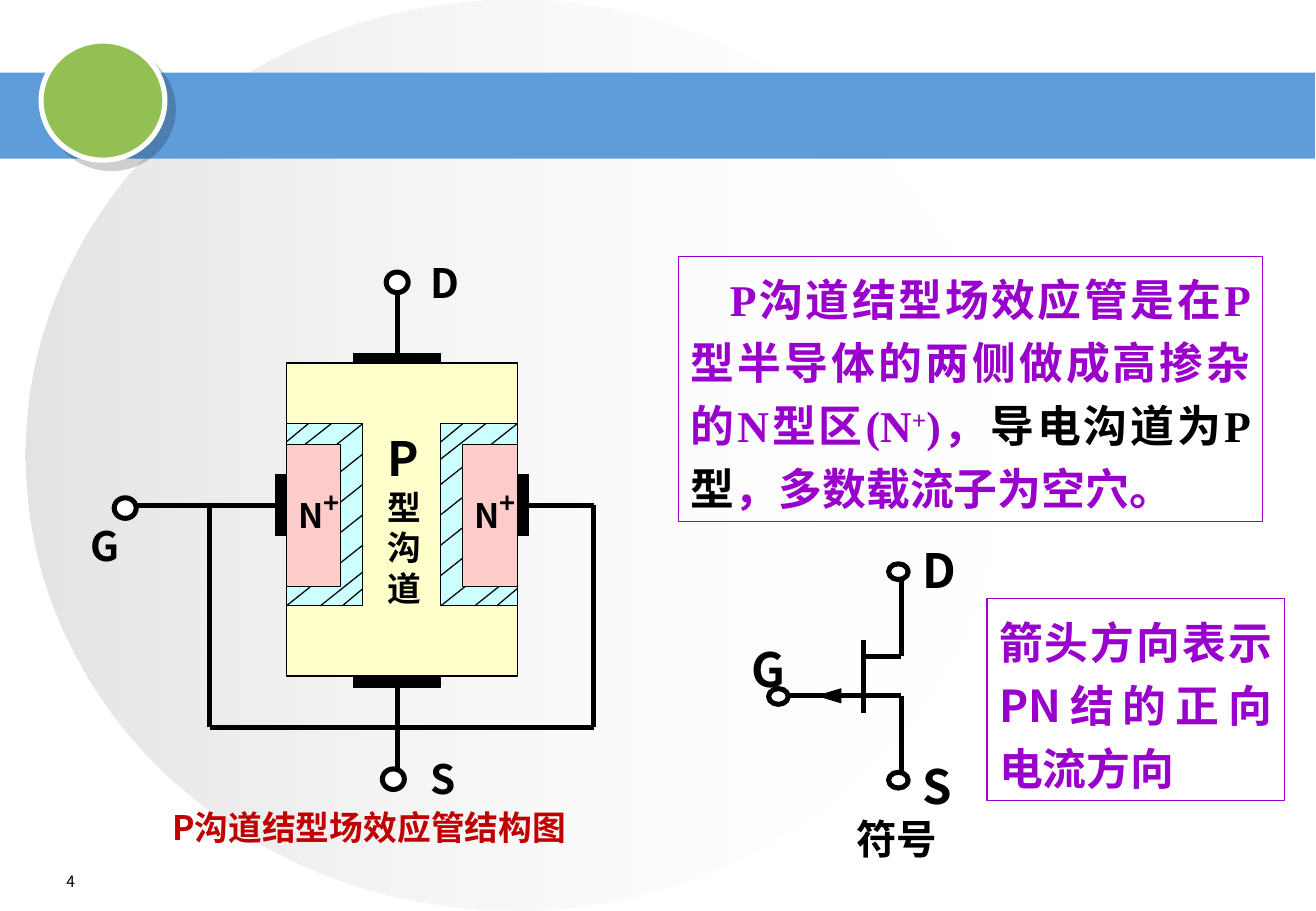
from lxml.etree import SubElement
from pptx import Presentation
from pptx.dml.color import RGBColor
from pptx.enum.shapes import MSO_CONNECTOR, MSO_SHAPE
from pptx.enum.text import MSO_ANCHOR, MSO_AUTO_SIZE, PP_ALIGN
from pptx.oxml.ns import qn
from pptx.util import Cm, Pt

BLACK = RGBColor(0x00, 0x00, 0x00)
WHITE = RGBColor(0xFF, 0xFF, 0xFF)
GREY = RGBColor(0xC0, 0xC0, 0xC0)
BLUE = RGBColor(0x5E, 0x9C, 0xDA)
GREEN = RGBColor(0x93, 0xC0, 0x52)
PURPLE = RGBColor(0x99, 0x00, 0xCC)
RED = RGBColor(0xC0, 0x00, 0x00)
CREAM = RGBColor(0xFF, 0xFF, 0xCC)
CYAN = RGBColor(0xCC, 0xFF, 0xFF)
PINK = RGBColor(0xFF, 0xCC, 0xCC)

SANS = "Noto Sans CJK SC"
SERIF = "Times New Roman"
THIN, THICK = 0.75, 3


def add_box(shapes, kind, box, fill=None, line=BLACK, width=THIN):
    sp = shapes.add_shape(kind, *map(Cm, box))
    sp.shadow.inherit = False
    if fill is not None:
        sp.fill.solid()
        sp.fill.fore_color.rgb = fill
    if line is None:
        sp.line.fill.background()
    else:
        sp.line.color.rgb = line
        sp.line.width = Pt(width)
    return sp


def add_line(shapes, x1, y1, x2, y2, width=THICK):
    cx = shapes.add_connector(MSO_CONNECTOR.STRAIGHT, *map(Cm, (x1, y1, x2, y2)))
    cx.line.color.rgb = BLACK
    cx.line.width = Pt(width)
    SubElement(cx._element.spPr, qn("a:effectLst"))
    return cx


def add_terminal(shapes, *box):
    add_box(shapes, MSO_SHAPE.OVAL, box, WHITE, BLACK, THICK)


def add_text(shapes, box, runs, border=None, **para):
    """Each run is (text, size, colour) with an optional dict of extras."""
    sp = shapes.add_textbox(*map(Cm, box))
    if border is not None:
        sp.line.color.rgb = border
        sp.line.width = Pt(THIN)
    tf = sp.text_frame
    frame = dict(word_wrap=True, vertical_anchor=MSO_ANCHOR.TOP,
                 auto_size=MSO_AUTO_SIZE.SHAPE_TO_FIT_TEXT)
    for key, value in frame.items():
        setattr(tf, key, value)
    p = tf.paragraphs[0]
    for key, value in para.items():
        setattr(p, key, value)
    for text, size, colour, *extra in runs:
        r = p.add_run()
        r.text = text
        fmt = dict(size=Pt(size), bold=True, name=SANS)
        fmt.update(*extra)
        raised = fmt.pop("raised", False)
        for key, value in fmt.items():
            setattr(r.font, key, value)
        r.font.color.rgb = colour
        rPr = r._r.get_or_add_rPr()
        SubElement(rPr, qn("a:ea"), typeface=SANS)
        if raised:
            rPr.set("baseline", "30000")
    return p


def add_background(shapes):
    # Fading disc
    disc = add_box(shapes, MSO_SHAPE.OVAL, (0.53, 0, 20.47, 19.05), line=None)
    disc.fill.gradient()
    disc.fill.gradient_angle = 0
    for stop, colour in zip(disc.fill.gradient_stops, (GREY, WHITE)):
        stop.color.rgb = colour
    for clr, alpha in zip(disc._element.spPr.iter(qn("a:srgbClr")), ("44000", "0")):
        SubElement(clr, qn("a:alpha"), val=alpha)

    # Title band and green dot with its shadow
    add_box(shapes, MSO_SHAPE.RECTANGLE, (0, 1.52, 27.51, 1.8), BLUE, None)
    dot = add_box(shapes, MSO_SHAPE.OVAL, (0.86, 0.86, 2.59, 2.49), GREEN, WHITE, THICK)
    effects = dot._element.spPr.find(qn("a:effectLst"))
    shadow = SubElement(effects, qn("a:outerShdw"), dist=str(Pt(7.1)),
                        dir="2700000", algn="ctr", rotWithShape="0")
    clr = SubElement(shadow, qn("a:srgbClr"), val=str(BLACK))
    SubElement(clr, qn("a:alpha"), val="19000")


def add_junction(shapes, x, y):
    """Hatched depletion layer with its top left corner at x, y."""
    w, h = 1.6, 3.81
    add_box(shapes, MSO_SHAPE.RECTANGLE, (x, y, w, h), CYAN)
    step = h / 6
    hatch = [(w, i * step, 0, (i + 2) * step) for i in range(5)]
    hatch += [(w, 3.1, 0.71, h), (w, 3.45, 1.17, h),
              (0.94, 0, 0, 0.74), (0.46, 0, 0, 0.38)]
    for x1, y1, x2, y2 in hatch:
        add_line(shapes, x + x1, y + y1, x + x2, y + y2, THIN)


def add_structure(shapes):
    left, right, wire_y, bottom_y = 4.39, 12.42, 10.57, 15.21
    # Leads behind the body
    add_line(shapes, 8.31, 6.12, 8.31, 16.08)
    add_line(shapes, 2.79, wire_y, right, wire_y)

    # Body, electrodes, junctions and N regions
    rect = MSO_SHAPE.RECTANGLE
    add_box(shapes, rect, (5.99, 7.59, 4.83, 6.55), CREAM)
    for y in (7.39, 14.17):
        add_box(shapes, rect, (7.39, y, 1.83, 0.2), BLACK)
    for x in (5.99, 9.22):
        add_junction(shapes, x, 8.86)
    for region_x, plate_x in ((5.99, 5.77), (9.68, 10.82)):
        add_box(shapes, rect, (region_x, 9.3, 1.14, 2.97), PINK)
        add_box(shapes, rect, (plate_x, 9.93, 0.23, 1.27), BLACK)
        add_text(shapes, (region_x, 9.93, 2.06, 1.45),
                 [("N", 20, BLACK), ("+", 28, BLACK, {"raised": True})])

    # Gate loop and terminals
    add_line(shapes, left, bottom_y, right, bottom_y)
    for x in (left, right):
        add_line(shapes, x, wire_y, x, bottom_y)
    for x, y in ((8, 16.08), (2.39, 10.41), (8.08, 5.69)):
        add_terminal(shapes, x, y, 0.46, 0.43)

    # Labels
    add_text(shapes, (7.85, 8.86, 1.6, 3.99), [("P", 28, BLACK), ("型沟道", 20, BLACK)])
    for name, x, y in (("G", 1.65, 10.77), ("S", 8.76, 15.65), ("D", 8.76, 5.28)):
        add_text(shapes, (x, y, 1.83, 1.27), [(name, 24, BLACK)])


def add_symbol(shapes):
    bar_x, lead_x, drain_y, gate_y = 18.06, 18.85, 13.72, 14.55
    add_text(shapes, (17.27, 16.89, 2.97, 1.27), [("符号", 24, BLACK)],
             alignment=PP_ALIGN.CENTER)
    # Gate arrow
    arrow = add_line(shapes, 17.07, gate_y, 17.86, gate_y)
    SubElement(arrow.line._get_or_add_ln(), qn("a:headEnd"),
               type="triangle", w="med", len="lg")
    # Channel bar and leads
    for ends in ((bar_x, 13.39, bar_x, 14.91),
                 (bar_x, drain_y, lead_x, drain_y),
                 (lead_x, 12.04, lead_x, drain_y),
                 (lead_x, gate_y, lead_x, 16.23),
                 (16.46, gate_y, lead_x, gate_y)):
        add_line(shapes, *ends)
    # Terminals and their labels
    for name, x, y, label_x, label_y in (("S", 18.59, 16.15, 19.05, 15.72),
                                         ("G", 16.08, 14.4, 15.47, 13.26),
                                         ("D", 18.59, 11.79, 19.05, 11.2)):
        add_terminal(shapes, x, y, 0.41, 0.33)
        add_text(shapes, (label_x, label_y, 1.6, 1.45), [(name, 28, BLACK)])


def add_notes(shapes):
    justified = dict(border=PURPLE, alignment=PP_ALIGN.JUSTIFY, line_spacing=1.2)
    serif = {"name": SERIF}
    p = add_text(shapes, (14.2, 5.36, 12.22, 5.54), [
        ("P沟道结型场效应管是在P型半导体的两侧做成高掺杂的N型区(N", 26, PURPLE, serif),
        ("+", 26, PURPLE, {"name": SERIF, "raised": True}),
        (")，", 26, PURPLE, serif),
        ("导电沟道为P型", 26, BLACK, serif),
        ("，多数载流子为空穴。", 26, PURPLE, serif)], **justified)
    p._p.get_or_add_pPr().set("indent", str(Cm(0.82)))
    add_text(shapes, (20.65, 12.52, 6.22, 4.22),
             [("箭头方向表示PN结的正向电流方向", 26, PURPLE)], **justified)


def main():
    prs = Presentation()
    prs.slide_width, prs.slide_height = Cm(27.53), Cm(19.05)
    s = prs.slides.add_slide(prs.slide_layouts[6])
    add_background(s.shapes)
    # Slide number and caption
    add_text(s.shapes, (1.14, 18.16, 5.74, 0.74),
             [("4", 9.2, BLACK, {"bold": False})], line_spacing=0.9)
    add_text(s.shapes, (3.35, 16.74, 10.5, 1.1), [("P沟道结型场效应管结构图", 20, RED)])
    # Diagrams and explanations
    add_structure(s.shapes.add_group_shape().shapes)
    add_notes(s.shapes)
    add_symbol(s.shapes.add_group_shape().shapes)
    prs.save("out.pptx")


if __name__ == "__main__":
    main()
